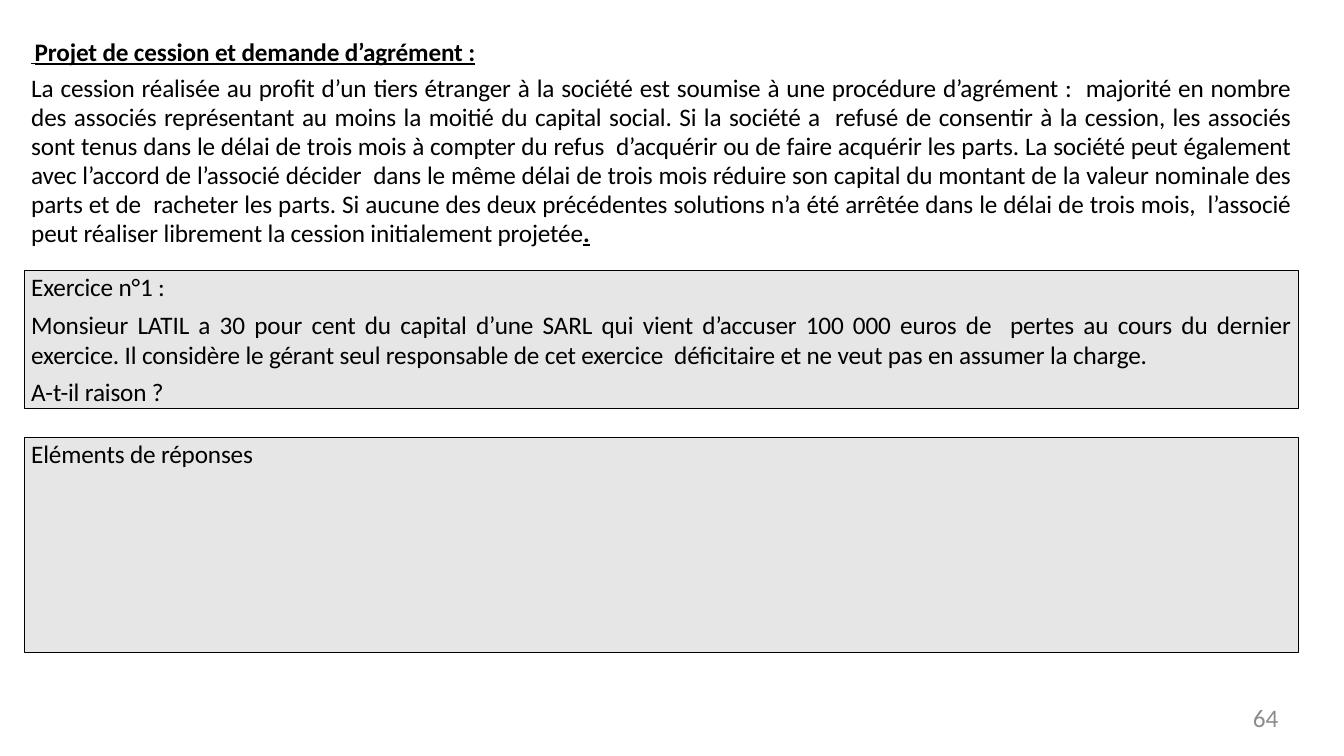
from dataclasses import dataclass

from pptx import Presentation
from pptx.dml.color import RGBColor
from pptx.enum.shapes import MSO_SHAPE
from pptx.enum.text import MSO_ANCHOR, PP_ALIGN
from pptx.util import Inches, Pt


@dataclass(frozen=True)
class Theme:
    font: str = "Calibri"
    spacer_font: str = "Times New Roman"
    size: float = 18
    spacer_size: float = 10
    ink: str = "000000"
    muted: str = "8C8C8C"
    panel: str = "E6E6E6"
    border: float = 0.25
    indent: float = 0.07
    tracking: int = -10


THEME = Theme()


def add_run(p, text, font=THEME.font, size=THEME.size, color=THEME.ink,
            bold=False, underline=False, tracking=THEME.tracking):
    r = p.add_run()
    r.text = text
    r.font.name = font
    r.font.size = Pt(size)
    r.font.color.rgb = RGBColor.from_string(color)
    r.font.bold = bold
    r.font.underline = underline
    r.font._element.set("spc", str(tracking))


class Deck:
    """Style and current slide; positions are percentages of the slide."""

    def __init__(self, prs, theme):
        self.prs, self.theme = prs, theme
        self.s = prs.slides.add_slide(prs.slide_layouts[6])

    def area(self, left, top, width, height):
        w, h = self.prs.slide_width / 100, self.prs.slide_height / 100
        return [round(v) for v in (left * w, top * h, width * w, height * h)]

    def frame(self, sp, top_inset=0.0):
        tf = sp.text_frame
        tf.word_wrap = True
        tf.vertical_anchor = MSO_ANCHOR.TOP
        tf.margin_left = tf.margin_right = tf.margin_bottom = 0
        tf.margin_top = Inches(top_inset)
        return tf

    def panel(self, area, paragraphs, filled=True):
        """Each paragraph is (space before, line spacing, runs)."""
        sp = self.s.shapes.add_shape(MSO_SHAPE.RECTANGLE, *self.area(*area))
        sp.shadow.inherit = False
        if filled:
            sp.fill.solid()
            sp.fill.fore_color.rgb = RGBColor.from_string(self.theme.panel)
            sp.line.color.rgb = RGBColor.from_string(self.theme.ink)
            sp.line.width = Pt(self.theme.border)
        else:
            sp.fill.background()
            sp.line.fill.background()
        tf = self.frame(sp, 0.01)
        for i, (before, spacing, runs) in enumerate(paragraphs):
            p = tf.add_paragraph() if i else tf.paragraphs[0]
            p.alignment = PP_ALIGN.JUSTIFY
            p.space_before = Pt(before)
            p.line_spacing = spacing
            pPr = p._p.get_or_add_pPr()
            for side in ("marL", "marR"):
                pPr.set(side, str(Inches(self.theme.indent)))
            pPr.set("indent", "0")
            for text, style in runs:
                add_run(p, text, **style)

    def page_number(self, area, text):
        sp = self.s.shapes.add_textbox(*self.area(*area))
        p = self.frame(sp).paragraphs[0]
        p.alignment = PP_ALIGN.RIGHT
        add_run(p, text, color=self.theme.muted, tracking=0)


prs = Presentation()
prs.slide_width, prs.slide_height = Inches(13.33), Inches(7.5)
deck = Deck(prs, THEME)

LEFT, WIDTH = 1.8, 94.8
STRONG = dict(bold=True, underline=True)
SPACER = dict(font=THEME.spacer_font, size=THEME.spacer_size,
              underline=True, tracking=-250)

# Lesson text
RULE = (
    "La cession réalisée au profit d’un tiers étranger à la société est soumise "
    "à une procédure d’agrément :  majorité en nombre des associés représentant "
    "au moins la moitié du capital social. Si la société a  refusé de consentir "
    "à la cession, les associés sont tenus dans le délai de trois mois à compter "
    "du refus  d’acquérir ou de faire acquérir les parts. La société peut "
    "également avec l’accord de l’associé décider  dans le même délai de trois "
    "mois réduire son capital du montant de la valeur nominale des parts et de  "
    "racheter les parts. Si aucune des deux précédentes solutions n’a été "
    "arrêtée dans le délai de trois mois,  l’associé peut réaliser librement la "
    "cession initialement projetée"
)
deck.panel((LEFT, 4.67, WIDTH, 28.27), [
    (0.5, 1.0, [(" ", SPACER),
                ("Projet de cession et demande d’agrément :", STRONG)]),
    (5.2, 0.96, [(RULE, {}), (".", STRONG)]),
], filled=False)

# Exercise
CASE = (
    "Monsieur LATIL a 30 pour cent du capital d’une SARL qui vient d’accuser "
    "100 000 euros de  pertes au cours du dernier exercice. Il considère le "
    "gérant seul responsable de cet exercice  déficitaire et ne veut pas en "
    "assumer la charge."
)
deck.panel((LEFT, 35.73, WIDTH, 18.27), [
    (0.4, 1.0, [("Exercice n°1 :", {})]),
    (5.7, 1.0, [(CASE, {})]),
    (4.7, 1.0, [("A-t-il raison ?", {})]),
])

# Answer area
deck.panel((LEFT, 57.87, WIDTH, 28.4),
           [(0.4, 1.0, [("Eléments de réponses", {})])])

# Page number
deck.page_number((72.09, 92.93, 23.03, 4), "64")

prs.save("out.pptx")
